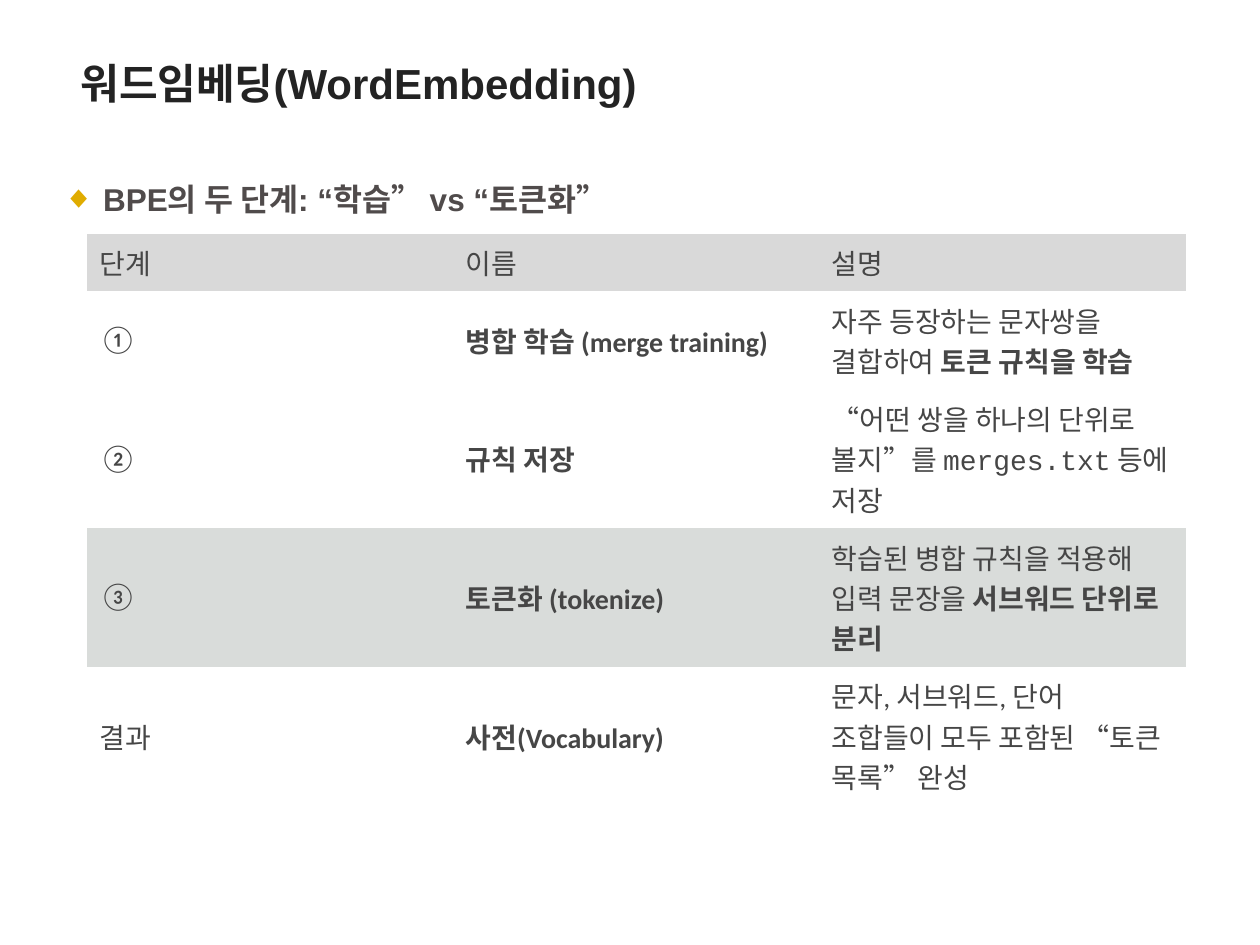
from pptx import Presentation
from pptx.util import Inches as In, Pt
from pptx.dml.color import RGBColor as Rgb
from pptx.enum.text import MSO_ANCHOR as Anchor
from lxml.etree import SubElement as Sub
from pptx.oxml.ns import qn


def paint(hue):
    return Rgb.from_string(hue)


def write(para, text, size, hue, bold=False, face="Arial"):
    run = para.add_run()
    run.text = text
    form = {"size": Pt(size), "bold": bold, "name": face}
    for key, val in form.items():
        setattr(run.font, key, val)
    run.font.color.rgb = paint(hue)


deck = Presentation()
deck.slide_width, deck.slide_height = In(10), In(7.5)
slide = deck.slides.add_slide(deck.slide_layouts[6])

# Title and heading
lines = [
    ((0.54, 0.41, 8.87, 0.63), "워드임베딩(WordEmbedding)", 24, "232323"),
    ((0.4, 1.23, 9.51, 0.6), "BPE의 두 단계: “학습” vs “토큰화”", 18, "504B4B"),
]
for spot, text, size, hue in lines:
    frame = slide.shapes.add_textbox(*map(In, spot)).text_frame
    frame.word_wrap = True
    para = frame.paragraphs[0]
    write(para, text, size, hue, True)

# Diamond bullet on the heading, the last line written
para.line_spacing = 1.5
props = para._p.get_or_add_pPr()
props.set("marL", str(In(0.32)))
props.set("indent", str(In(-0.32)))
tint = Sub(props, qn("a:buClr"))
Sub(tint, qn("a:srgbClr"), val="E0AC00")
Sub(props, qn("a:buFont"), typeface="Arial")
Sub(props, qn("a:buChar"), char="◆")

# Table: each cell is a list of (text, bold, face) runs
body, code = "Calibri", "Courier New"
rows = [
    (0.45, "D9D9D9", [[("단계", False, body)], [("이름", False, body)],
                      [("설명", False, body)]]),
    (0.78, None, [[("①", False, body)],
                  [("병합 학습 (merge training)", True, body)],
                  [("자주 등장하는 문자쌍을 결합하여 ", False, body),
                   ("토큰 규칙을 학습", True, body)]]),
    (1.1, None, [[("②", False, body)], [("규칙 저장", True, body)],
                 [("“어떤 쌍을 하나의 단위로 볼지”를 ", False, body),
                  ("merges.txt", False, code), (" 등에 저장", False, body)]]),
    (1.1, "D9DCDA", [[("③", False, body)], [("토큰화 (tokenize)", True, body)],
                     [("학습된 병합 규칙을 적용해 입력 문장을 ", False, body),
                      ("서브워드 단위로 분리", True, body)]]),
    (1.1, None, [[("결과", False, body)], [("사전(Vocabulary)", True, body)],
                 [("문자, 서브워드, 단어 조합들이 모두 포함된 “토큰 목록” 완성",
                   False, body)]]),
]
high = sum(row[0] for row in rows)
table = slide.shapes.add_table(len(rows), 3, In(0.69), In(1.86),
                               In(8.72), In(high)).table
table.first_row = table.horz_banding = False
# Plain style without borders
style = table._tbl.tblPr.find(qn("a:tableStyleId"))
style.text = "{2D5ABB26-0587-4C30-8999-92F81FD0307C}"

for r, (tall, fill, cells) in enumerate(rows):
    table.rows[r].height = In(tall)
    for c, runs in enumerate(cells):
        cell = table.cell(r, c)
        cell.vertical_anchor = Anchor.MIDDLE
        if fill:
            cell.fill.solid()
            cell.fill.fore_color.rgb = paint(fill)
        else:
            cell.fill.background()
        for text, bold, face in runs:
            write(cell.text_frame.paragraphs[0], text, 16, "464646", bold, face)

deck.save("out.pptx")
